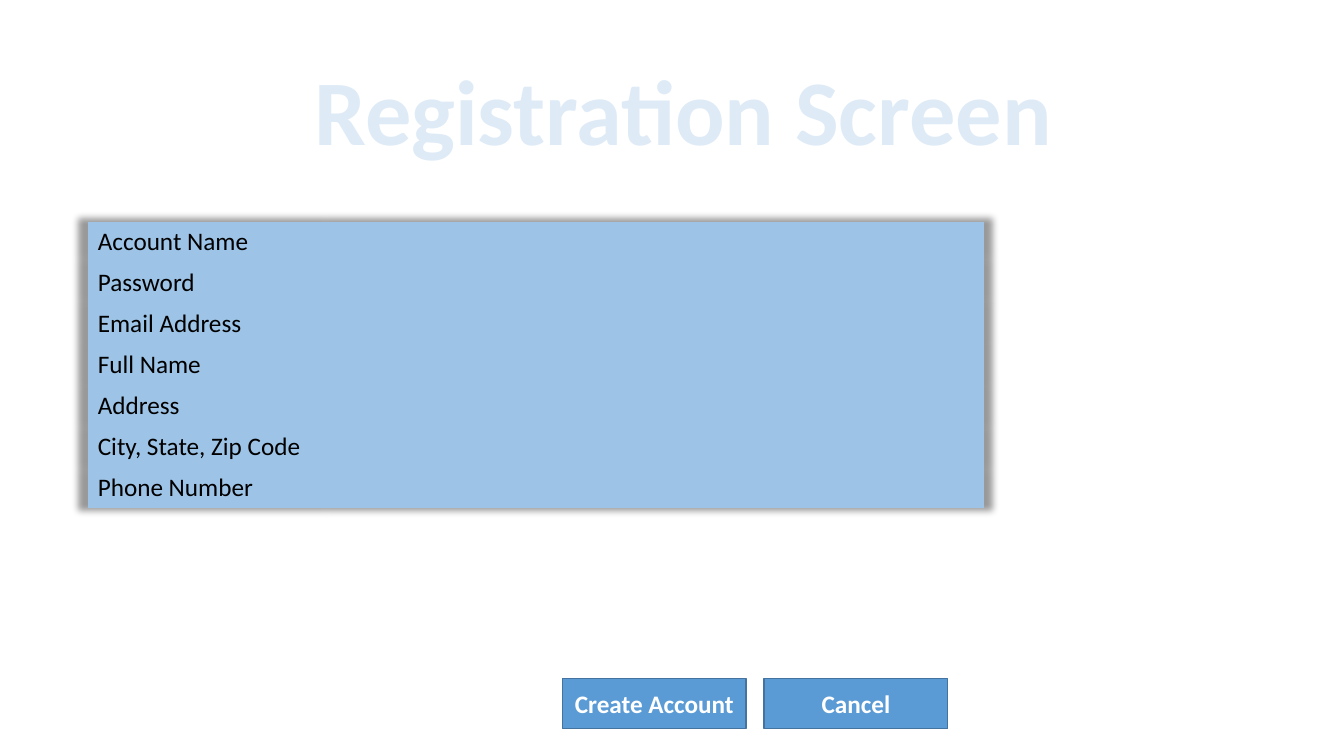
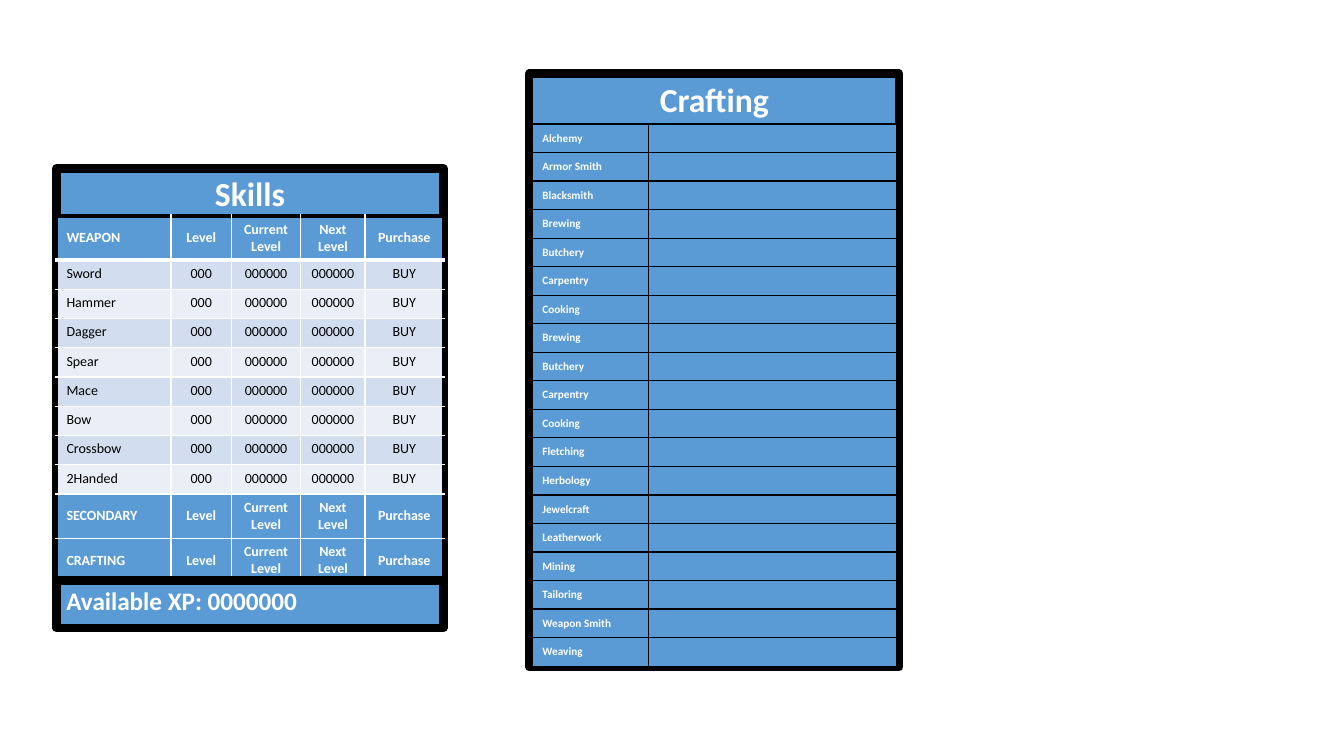
import pptx
import pptx.util
import pptx.dml.color
import pptx.enum.shapes
import pptx.enum.text
import pptx.oxml
from lxml import etree

SLIDE_WIDTH = pptx.util.Inches(13.333)
SLIDE_HEIGHT = pptx.util.Inches(7.5)
FONT = "Calibri"
WHITE, BLACK = "FFFFFF", "000000"
BLUE, DARK_BLUE, SKY, PALE = "5B9BD5", "43739E", "9DC3E6", "DEEBF7"
BANDS = ("D2DEEF", "EAEFF7")

LEFT = pptx.enum.text.PP_ALIGN.LEFT
CENTER = pptx.enum.text.PP_ALIGN.CENTER
TOP = pptx.enum.text.MSO_ANCHOR.TOP
MIDDLE = pptx.enum.text.MSO_ANCHOR.MIDDLE

DRAWING_NS = "http://schemas.openxmlformats.org/drawingml/2006/main"
PLAIN_TABLE_STYLE = "{2D5ABB26-0587-4C30-8999-92F81FD0307C}"
SOFT_SHADOW = (
    f'<a:effectLst xmlns:a="{DRAWING_NS}">'
    '<a:outerShdw blurRad="63500" sx="102000" sy="102000" algn="ctr" rotWithShape="0">'
    '<a:prstClr val="black"><a:alpha val="40000"/></a:prstClr>'
    "</a:outerShdw></a:effectLst>"
)

REGISTRATION_FIELDS = (
    "Account Name", "Password", "Email Address", "Full Name",
    "Address", "City, State, Zip Code", "Phone Number",
)
WEAPONS = ("Sword", "Hammer", "Dagger", "Spear", "Mace", "Bow", "Crossbow", "2Handed")
CRAFTS = (
    "Alchemy", "Armor Smith", "Blacksmith", "Brewing", "Butchery", "Carpentry",
    "Cooking", "Brewing", "Butchery", "Carpentry", "Cooking", "Fletching",
    "Herbology", "Jewelcraft", "Leatherwork", "Mining", "Tailoring",
    "Weapon Smith", "Weaving",
)


def color(hex_string):
    return pptx.dml.color.RGBColor.from_string(hex_string)


def across(percent):
    return round(SLIDE_WIDTH * percent / 100)


def down(percent):
    return round(SLIDE_HEIGHT * percent / 100)


def place(left, top, width, height):
    """Turn percentages of the slide's size into lengths."""
    return across(left), down(top), across(width), down(height)


def write(frame, text, size, ink, bold=False, align=LEFT):
    frame.text = text
    for paragraph in frame.paragraphs:
        paragraph.alignment = align
        font = paragraph.font
        font.name, font.size, font.bold = FONT, pptx.util.Pt(size), bold
        font.color.rgb = color(ink)
        if not text:  # an empty cell keeps its row height through its end mark
            paragraph._p.get_or_add_endParaRPr().set("sz", str(size * 100))


def add_title(slide, text):
    frame = slide.shapes.add_textbox(*place(20.86, 6.4, 60, 16.27)).text_frame
    frame.word_wrap = True
    write(frame, text, 66, PALE, True, CENTER)


def add_box(slide, box, text, size, outline, weight, align=CENTER, anchor=TOP):
    """Add a blue rectangle with bold white text."""
    shape = slide.shapes.add_shape(
        pptx.enum.shapes.MSO_SHAPE.RECTANGLE, *place(*box))
    shape.shadow.inherit = False
    shape.fill.solid()
    shape.fill.fore_color.rgb = color(BLUE)
    shape.line.color.rgb = color(outline)
    shape.line.width = pptx.util.Pt(weight)
    shape.text_frame.vertical_anchor = anchor
    write(shape.text_frame, text, size, WHITE, True, align)


def add_grid(slide, box, row_count, column_weights):
    """Add an unstyled table whose columns share its width by weight."""
    left, top, width, height = place(*box)
    table = slide.shapes.add_table(
        row_count, len(column_weights), left, top, width, height).table
    table.first_row = table.horz_banding = False
    properties = table._tbl.tblPr
    properties.find(f"{{{DRAWING_NS}}}tableStyleId").text = PLAIN_TABLE_STYLE
    for column, weight in zip(table.columns, column_weights):
        column.width = round(width * weight / sum(column_weights))
    return table


def border(cell, side, ink, weight):
    line = etree.SubElement(
        cell._tc.get_or_add_tcPr(), f"{{{DRAWING_NS}}}ln{side}",
        w=str(pptx.util.Pt(weight)))
    solid = etree.SubElement(line, f"{{{DRAWING_NS}}}solidFill")
    etree.SubElement(solid, f"{{{DRAWING_NS}}}srgbClr", val=ink)


def fill_cell(cell, text, size, ink, fill, bold=False, align=LEFT, anchor=TOP, borders=()):
    """Style a cell; borders are (ink, weight) for left, right, top, bottom."""
    for side, (line_ink, weight) in zip("LRTB", borders):
        border(cell, side, line_ink, weight)
    cell.fill.solid()
    cell.fill.fore_color.rgb = color(fill)
    cell.vertical_anchor = anchor
    write(cell.text_frame, text, size, ink, bold, align)


def add_registration_form(slide):
    table = add_grid(slide, (6.53, 29.33, 66.69, 37.87), len(REGISTRATION_FIELDS), (27, 73))
    table._tbl.tblPr.insert(0, pptx.oxml.parse_xml(SOFT_SHADOW))
    for row, field in zip(table.rows, REGISTRATION_FIELDS):
        for cell, text in zip(row.cells, (field, "")):
            fill_cell(cell, text, 18, BLACK, SKY)


def skill_borders(row, column, last_row, last_column):
    thin, thick_white, edge = (WHITE, 1), (WHITE, 3), (BLACK, 3)
    return (
        edge if column == 0 else thin,
        edge if column == last_column else thin,
        edge if row == 0 else thick_white if row == 1 else thin,
        edge if row == last_row else thick_white if row == 0 else thin,
    )


def add_skill_table(slide, left, width):
    def heading(name, next_level="Next Level"):
        return name, "Level", "Current\nLevel", next_level, "Purchase"

    rows = [heading("WEAPON", "Next\nLevel")]
    rows += [(weapon, "000", "000000", "000000", "BUY") for weapon in WEAPONS]
    rows += [heading("SECONDARY"), heading("CRAFTING")]
    table = add_grid(slide, (left, 28.53, width, 48.13), len(rows), (114, 60, 69, 64, 78))
    for r, texts in enumerate(rows):
        is_weapon = 1 <= r <= len(WEAPONS)
        table.rows[r].height = down(3.87 if is_weapon else 5.87)
        fill = BANDS[(r - 1) % 2] if is_weapon else BLUE
        for c, text in enumerate(texts):
            fill_cell(
                table.cell(r, c), text, 10, BLACK if is_weapon else WHITE, fill,
                bold=not is_weapon, align=CENTER if c else LEFT,
                anchor=TOP if is_weapon else MIDDLE,
                borders=skill_borders(r, c, len(rows) - 1, len(texts) - 1))


def add_craft_table(slide):
    table = add_grid(slide, (39.61, 16.4, 27.08, 71.73), len(CRAFTS), (115, 246))
    for row, craft in zip(table.rows, CRAFTS):
        for cell, text in zip(row.cells, (craft, "")):
            fill_cell(cell, text, 8, WHITE, BLUE, True, anchor=MIDDLE,
                      borders=[(BLACK, 1)] * 4)


def build_registration(slide):
    add_title(slide, "Registration Screen")
    for i, label in enumerate(("Create Account", "Cancel")):
        add_box(slide, (41.86 + 15 * i, 89.73, 13.65, 6.67), label, 18,
                DARK_BLUE, 1, anchor=MIDDLE)
    add_registration_form(slide)


def build_skills(slide):
    left, width = 4.2, 28.8
    add_box(slide, (left, 22.27, width, 60.67), "Skills", 24, BLACK, 6)
    add_box(slide, (39.38, 9.73, 27.53, 78.53), "Crafting", 24, BLACK, 6)
    add_skill_table(slide, left, width)
    add_box(slide, (left, 76.8, width, 6.27), "Available XP: 0000000", 18, BLACK, 6, LEFT)
    add_craft_table(slide)


def main():
    deck = pptx.Presentation()
    deck.slide_width, deck.slide_height = SLIDE_WIDTH, SLIDE_HEIGHT
    for build in (build_registration, build_skills):
        build(deck.slides.add_slide(deck.slide_layouts[6]))
    deck.save("out.pptx")


if __name__ == "__main__":
    main()
